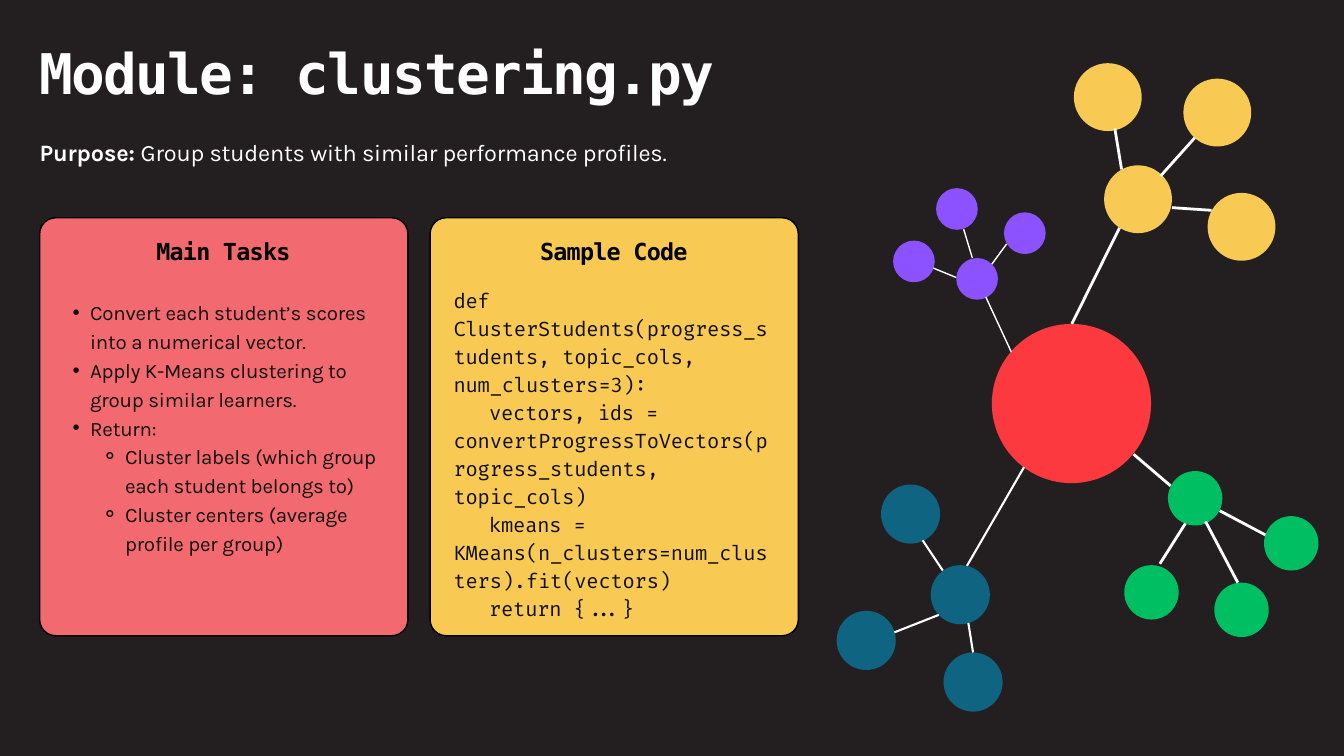
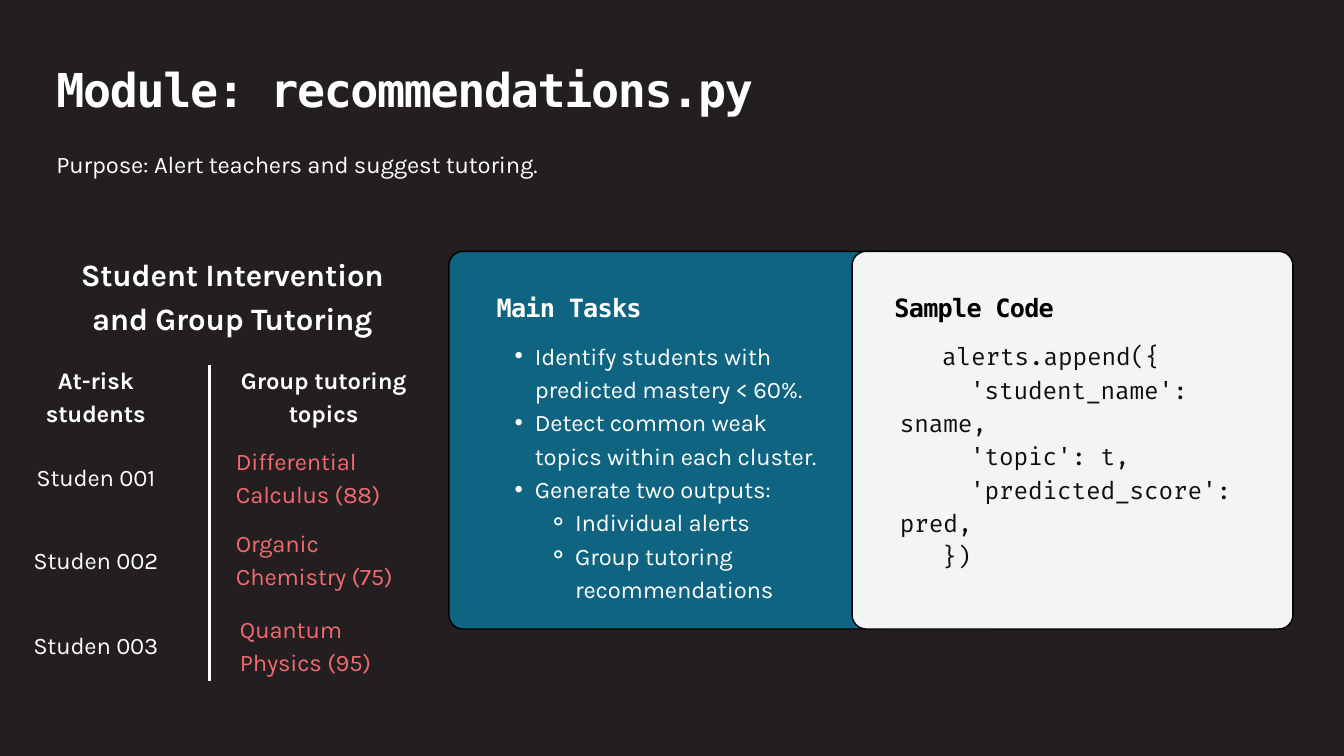
from dataclasses import dataclass, replace

from lxml.etree import SubElement
from pptx import Presentation
from pptx.dml.color import RGBColor
from pptx.enum.shapes import MSO_CONNECTOR, MSO_SHAPE
from pptx.enum.text import MSO_ANCHOR, MSO_AUTO_SIZE, PP_ALIGN
from pptx.oxml.ns import qn
from pptx.util import Pt

PX = 9144  # EMU per px, 100 px to the inch

INK, WHITE, BLACK, CODE_INK = "231F20", "FFFFFF", "000000", "100F0D"
CORAL, YELLOW, RED, TEAL = "F26A6F", "F8CA54", "FD3940", "0F6481"
GREEN, PURPLE, PALE = "00BF63", "8C52FF", "F4F4F4"


def px(*lengths):
    return [length * PX for length in lengths]


def rgb(hex_color):
    return RGBColor.from_string(hex_color)


@dataclass
class Type:
    """Text style; leading and tracking are shares of the size."""
    font: str
    size: float
    color: str = WHITE
    bold: bool = False
    align: PP_ALIGN = PP_ALIGN.LEFT
    leading: float = 1.4
    tracking: float = -0.008


TITLE = Type("DejaVu Sans Mono", 60, bold=True, leading=1.27, tracking=-0.03)
HEADING = replace(TITLE, size=27, leading=1.4)
BODY = Type("Karla", 25.5)
CENTERED = replace(BODY, align=PP_ALIGN.CENTER)
CODE = Type("Fira Code", 25.5, CODE_INK)


class Deck:
    def __init__(self):
        self.prs = Presentation()
        self.prs.slide_width, self.prs.slide_height = px(2000, 1125)
        backdrop = self.prs.slide_master.background.fill
        backdrop.solid()
        backdrop.fore_color.rgb = rgb(INK)
        self.slide = None

    def new_slide(self):
        self.slide = self.prs.slides.add_slide(self.prs.slide_layouts[1])

    def _place(self, shape, box):
        shape.left, shape.top, shape.width, shape.height = px(*box)
        frame = shape.text_frame
        frame.word_wrap = True
        frame.auto_size = MSO_AUTO_SIZE.NONE
        frame.vertical_anchor = MSO_ANCHOR.TOP
        frame.margin_left = frame.margin_right = 0
        frame.margin_top = frame.margin_bottom = 0
        return frame

    def _format(self, paragraph, style):
        paragraph.alignment = style.align
        paragraph.line_spacing = Pt(round(style.size * style.leading, 1))
        paragraph.space_before = Pt(0)
        for run in paragraph.runs:
            run.font.name, run.font.size = style.font, Pt(style.size)
            run.font.bold = style.bold
            run.font.color.rgb = rgb(style.color)
            spacing = round(style.size * style.tracking, 1)
            run.font._element.set("spc", str(round(spacing * 100)))

    def title(self, words, box, style):
        frame = self._place(self.slide.shapes.title, box)
        frame.text = words
        self._format(frame.paragraphs[0], style)

    def text(self, words, box, style):
        frame = self._place(self.slide.shapes.add_textbox(0, 0, 0, 0), box)
        frame.text = words
        self._format(frame.paragraphs[0], style)
        return frame.paragraphs[0]

    def code(self, lines, box, style):
        """Write (columns of indent, line) pairs; wrapped lines start at the left."""
        frame = self._place(self.slide.shapes.add_textbox(0, 0, 0, 0), box)
        frame.text = "\n".join(line for _, line in lines)
        column = style.size * (0.6 + style.tracking)
        for paragraph, (columns, _) in zip(frame.paragraphs, lines):
            self._format(paragraph, style)
            properties = paragraph._p.get_or_add_pPr()
            properties.set("marL", "0")
            properties.set("indent", str(Pt(columns * column)))

    def bullets(self, items, box, style, step, hangs):
        """Write (level, item) pairs; step is the indent of one level."""
        body = self.slide.placeholders[1]
        frame = self._place(body, box)
        frame.text = "\n".join(item for _, item in items)
        for paragraph, (level, _) in zip(frame.paragraphs, items):
            paragraph.level = level
            self._format(paragraph, style)
            properties = paragraph._p.get_or_add_pPr()
            properties.set("marL", str(step * (level + 1) * PX))
            properties.set("indent", str(-hangs[level] * PX))
            SubElement(properties, qn("a:buChar")).set("char", "•⚬"[level])
        # Bring the list in front of its card
        self.slide.shapes._spTree.append(body._element)

    def _filled(self, preset, box, color):
        shape = self.slide.shapes.add_shape(preset, *px(*box))
        shape.shadow.inherit = False
        shape.fill.solid()
        shape.fill.fore_color.rgb = rgb(color)
        return shape

    def card(self, box, color, radius):
        card = self._filled(MSO_SHAPE.ROUNDED_RECTANGLE, box, color)
        card.adjustments[0] = radius / min(box[2:])
        card.line.color.rgb = rgb(BLACK)
        card.line.width = Pt(1.5)

    def circle(self, left, top, diameter, color):
        box = (left, top, diameter, diameter)
        self._filled(MSO_SHAPE.OVAL, box, color).line.fill.background()

    def line(self, ends, weight):
        line = self.slide.shapes.add_connector(MSO_CONNECTOR.STRAIGHT, *px(*ends))
        line.line.color.rgb = rgb(WHITE)
        line.line.width = Pt(weight)
        SubElement(line._element.spPr, qn("a:effectLst"))

    def cluster(self, color, diameter, corners, weight, links):
        for left, top in corners:
            self.circle(left, top, diameter, color)
        for ends in links:
            self.line(ends, weight)


def clustering_slide(deck):
    deck.new_slide()
    deck.title("Module: clustering.py", (59, 52, 1035, 114), TITLE)
    intro = replace(BODY, size=25.2)
    purpose = deck.text("Purpose: ", (59, 199, 1035, 47), intro)
    purpose.add_run().text = "Group students with similar performance profiles."
    deck._format(purpose, intro)
    purpose.runs[0].font.bold = True

    heading = replace(HEADING, size=25.1, color=BLACK, align=PP_ALIGN.CENTER)
    for left, color, words in ((59, CORAL, "Main Tasks"), (640, YELLOW, "Sample Code")):
        deck.card((left, 324, 548, 622), color, 24)
        deck.text(words, (left + 98, 346, 351, 52), heading)
    deck.bullets([
        (0, "Convert each student’s scores into a numerical vector."),
        (0, "Apply K-Means clustering to group similar learners."),
        (0, "Return:"),
        (1, "Cluster labels (which group each student belongs to)"),
        (1, "Cluster centers (average profile per group)"),
    ], (82, 441, 502, 384), replace(BODY, size=22, color=CODE_INK), 52, (26, 35))
    deck.code([
        (0, "def ClusterStudents(progress_students, topic_cols, num_clusters=3):"),
        (3, "vectors, ids = convertProgressToVectors(progress_students, topic_cols)"),
        (3, "kmeans = KMeans(n_clusters=num_clusters).fit(vectors)"),
        (3, "return {...}"),
    ], (675, 424, 477, 488), replace(CODE, size=21.4))

    deck.circle(1476, 482, 237, RED)
    deck.cluster(
        YELLOW, 101, [(1643, 246), (1598, 94), (1797, 287), (1761, 117)], 3,
        [(1666, 339, 1595, 482), (1659, 191, 1669, 252),
         (1778, 205, 1727, 262), (1803, 313, 1744, 309)])
    deck.cluster(
        TEAL, 88, [(1385, 841), (1245, 909), (1311, 721), (1404, 971)], 2.25,
        [(1524, 695, 1439, 842), (1397, 915, 1331, 941),
         (1403, 849, 1373, 804), (1448, 971, 1441, 927)])
    deck.cluster(
        GREEN, 81, [(1738, 701), (1807, 867), (1673, 841), (1881, 768)], 3,
        [(1687, 676, 1742, 723), (1764, 779, 1726, 839),
         (1794, 776, 1842, 867), (1815, 760, 1883, 796)])
    deck.cluster(
        PURPLE, 62, [(1423, 384), (1329, 358), (1494, 316), (1393, 280)], 1.5,
        [(1467, 442, 1505, 524), (1389, 399, 1423, 413),
         (1434, 341, 1447, 384), (1498, 363, 1476, 393)])


def recommendations_slide(deck):
    deck.new_slide()
    deck.title("Module: recommendations.py", (84, 86, 1226, 95), replace(TITLE, size=50))
    deck.text("Purpose: Alert teachers and suggest tutoring.", (84, 215, 809, 48), BODY)

    deck.card((668, 374, 673, 562), TEAL, 21)
    deck.card((1268, 374, 656, 562), PALE, 21)
    deck.text("Main Tasks", (739, 427, 377, 55), HEADING)
    deck.text("Sample Code", (1331, 427, 512, 55), replace(HEADING, color=BLACK))
    deck.bullets([
        (0, "Identify students with predicted mastery < 60%."),
        (0, "Detect common weak topics within each cluster."),
        (0, "Generate two outputs:"),
        (1, "Individual alerts"),
        (1, "Group tutoring recommendations"),
    ], (736, 501, 496, 394), BODY, 60, (30, 40))
    deck.code([
        (3, "alerts.append({"),
        (5, "'student_name': sname,"),
        (5, "'topic': t,"),
        (5, "'predicted_score': pred,"),
        (3, "})"),
    ], (1339, 502, 496, 340), CODE)

    bold = replace(CENTERED, bold=True)
    deck.text("Student Intervention and Group Tutoring", (79, 371, 533, 126),
              replace(bold, size=33.3))
    deck.line((312, 543, 312, 1014), 3)
    deck.text("At-risk students", (30, 537, 225, 96), bold)
    deck.text("Group tutoring topics", (351, 537, 261, 96), bold)
    tutoring = [
        ("Studen 001", "Differential Calculus (88)", 351, 657),
        ("Studen 002", "Organic Chemistry (75)", 351, 780),
        ("Studen 003", "Quantum Physics (95)", 357, 907),
    ]
    for student, topic, left, top in tutoring:
        deck.text(student, (12, top + 25, 261, 47), CENTERED)
        deck.text(topic, (left, top, 261, 96), replace(BODY, color=CORAL))


def main():
    deck = Deck()
    clustering_slide(deck)
    recommendations_slide(deck)
    deck.prs.save("out.pptx")


if __name__ == "__main__":
    main()
